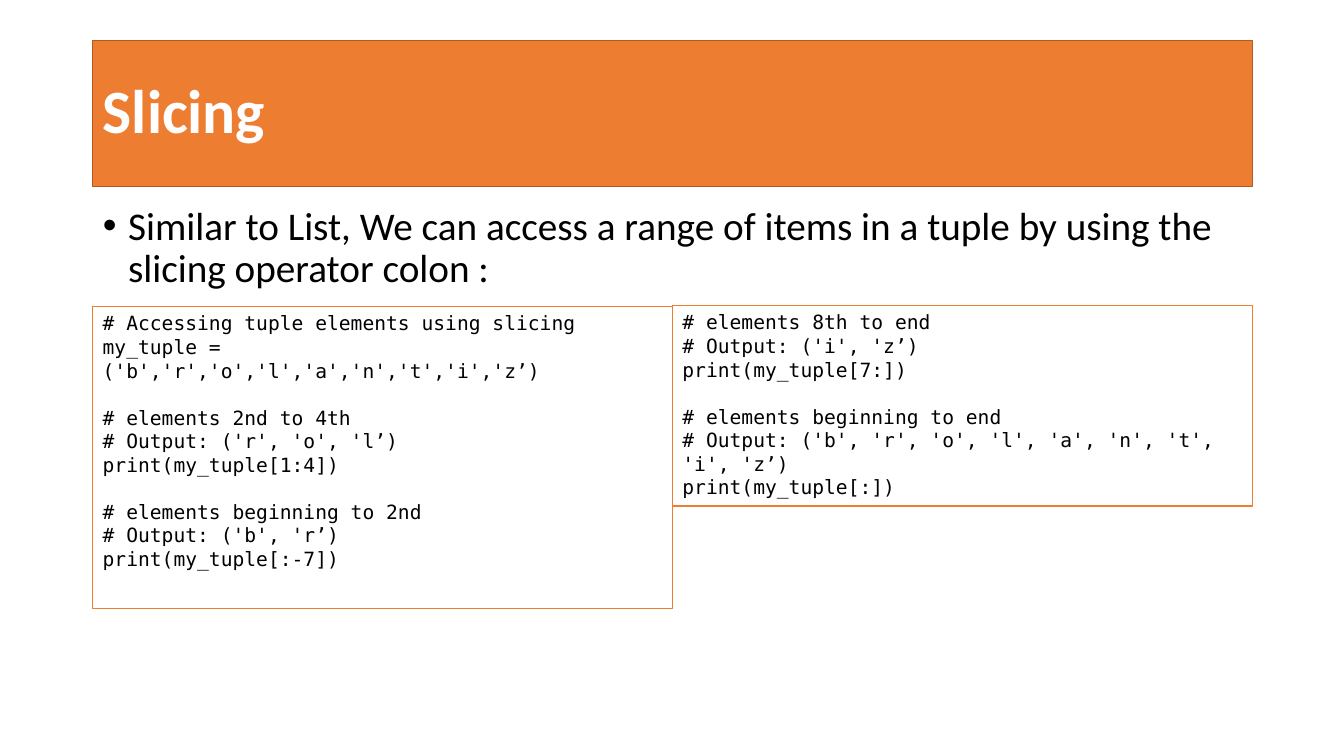
import pptx
import pptx.util
import pptx.dml.color
import pptx.enum.shapes
import pptx.enum.text

WIDE, HIGH = 13.33, 7.5
LEFT, COL = 0.92, 5.75  # left margin and width of one of two columns
ORANGE, WHITE, BLACK = "ED7D31", "FFFFFF", "000000"
MONO = {"name": "DejaVu Sans Mono", "size": pptx.util.Pt(14), "bold": False}
HEAD = {"name": "Calibri", "size": pptx.util.Pt(44), "bold": True}
BODY = {"name": "Calibri", "size": pptx.util.Pt(28), "bold": False}
TOP = pptx.enum.text.MSO_ANCHOR.TOP
MIDDLE = pptx.enum.text.MSO_ANCHOR.MIDDLE
GAP = 16.8  # height of one code line in points

# Each inner list is a block of code, set apart from the one before it.
FIRST = [
    ["# Accessing tuple elements using slicing",
     "my_tuple = ('b','r','o','l','a','n','t','i','z’)"],
    ["# elements 2nd to 4th",
     "# Output: ('r', 'o', 'l’)",
     "print(my_tuple[1:4])"],
    ["# elements beginning to 2nd",
     "# Output: ('b', 'r’)",
     "print(my_tuple[:-7])"],
]
SECOND = [
    ["# elements 8th to end",
     "# Output: ('i', 'z’)",
     "print(my_tuple[7:])"],
    ["# elements beginning to end",
     "# Output: ('b', 'r', 'o', 'l', 'a', 'n', 't', 'i', 'z’)",
     "print(my_tuple[:])"],
]


def apply(item, values):
    for name, value in values.items():
        setattr(item, name, value)


def tint(color, code):
    """Set a colour format from a hex string."""
    color.rgb = pptx.dml.color.RGBColor.from_string(code)


def place(shape, col, top, cols, high):
    """Put a shape on the two-column grid; top and high are in inches."""
    apply(shape, {
        "left": pptx.util.Inches(LEFT + col * COL),
        "top": pptx.util.Inches(top),
        "width": pptx.util.Inches(cols * COL),
        "height": pptx.util.Inches(high),
    })


def paint(shape, fill, edge):
    shape.fill.solid()
    tint(shape.fill.fore_color, fill)
    tint(shape.line.color, edge)
    shape.line.width = pptx.util.Pt(1)


def frame(shape, anchor):
    """Set wrapping and anchor, and return the text frame."""
    text = shape.text_frame
    apply(text, {"word_wrap": True, "vertical_anchor": anchor,
                 "auto_size": pptx.enum.text.MSO_AUTO_SIZE.NONE})
    return text


def write(para, words, font, code, lines=1.0, before=0):
    run = para.add_run()
    run.text = words
    apply(run.font, font)
    tint(run.font.color, code)
    apply(para, {"alignment": pptx.enum.text.PP_ALIGN.LEFT,
                 "line_spacing": lines,
                 "space_before": pptx.util.Pt(before)})


def add_code(slide, col, top, high, blocks):
    box = slide.shapes.add_shape(
        pptx.enum.shapes.MSO_SHAPE.RECTANGLE, 0, 0, 0, 0)
    box.shadow.inherit = False
    place(box, col, top, 1, high)
    paint(box, WHITE, ORANGE)
    text = frame(box, TOP)
    para = text.paragraphs[0]
    for i, block in enumerate(blocks):
        for j, line in enumerate(block):
            if i or j:
                para = text.add_paragraph()
            write(para, line, MONO, BLACK, before=GAP if i and not j else 0)


def set_title(slide, words):
    title = slide.shapes.title
    place(title, 0, 0.4, 2, 1.45)
    paint(title, ORANGE, "AF5C24")
    write(frame(title, MIDDLE).paragraphs[0], words, HEAD, WHITE, 0.9)


def set_body(slide, words):
    body = slide.placeholders[1]
    place(body, 0, 2, 2, 4.76)
    para = frame(body, TOP).paragraphs[0]
    write(para, words, BODY, BLACK, 0.9, 10)
    props = para._p.get_or_add_pPr()
    dent = pptx.util.Inches(0.25)
    props.set("marL", str(dent))
    props.set("indent", str(-dent))


def main():
    deck = pptx.Presentation()
    apply(deck, {"slide_width": pptx.util.Inches(WIDE),
                 "slide_height": pptx.util.Inches(HIGH)})
    slide = deck.slides.add_slide(deck.slide_layouts[1])
    set_title(slide, "Slicing")
    set_body(slide, "Similar to List, We can access a range of items in a "
                    "tuple by using the slicing operator colon :")
    add_code(slide, 0, 3.04, 3, FIRST)
    add_code(slide, 1, 3.03, 1.99, SECOND)
    deck.save("out.pptx")


if __name__ == "__main__":
    main()
